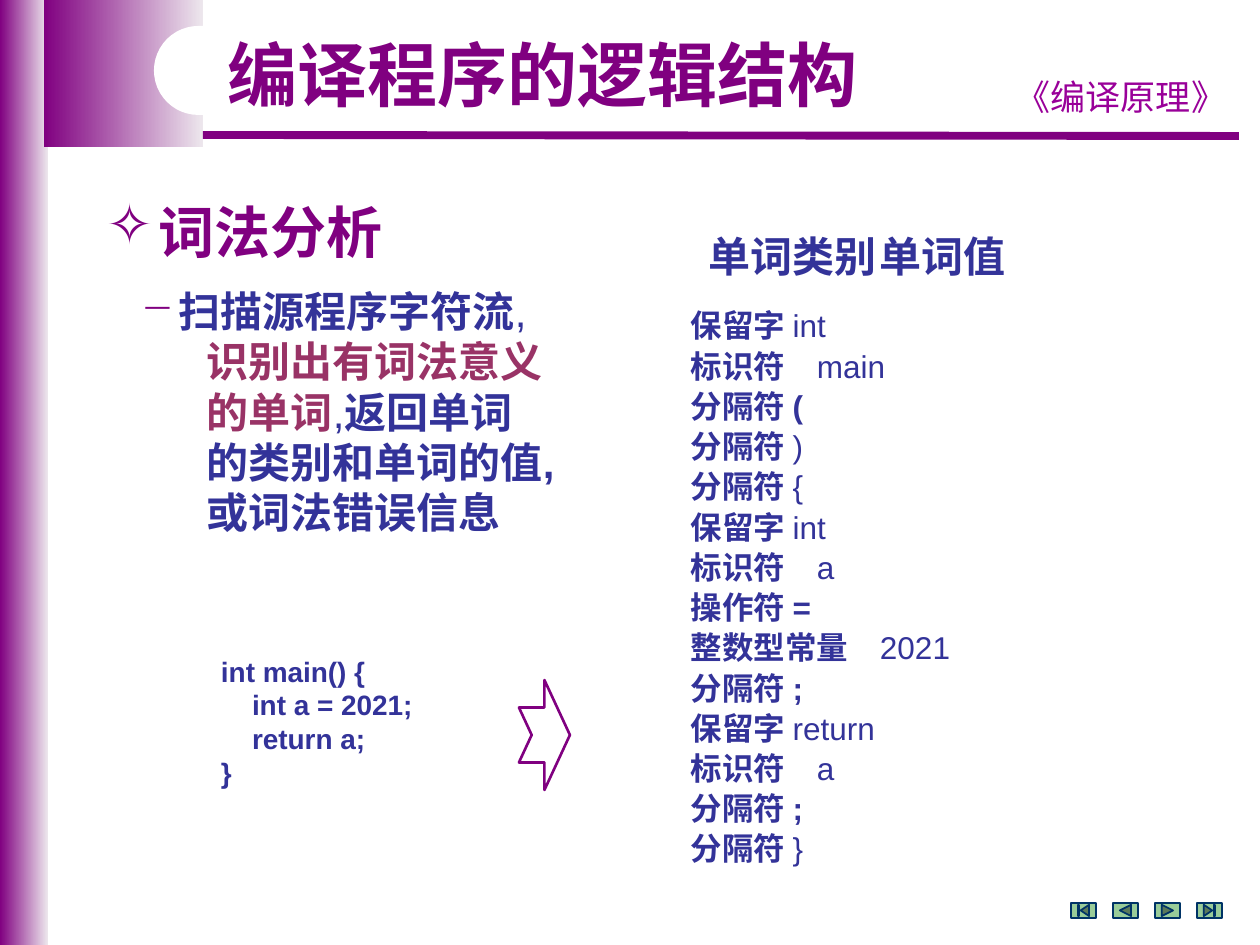
from dataclasses import dataclass
from typing import Any

from pptx import Presentation
from pptx.dml.color import RGBColor
from pptx.enum.shapes import MSO_CONNECTOR, MSO_SHAPE
from pptx.enum.text import MSO_ANCHOR, PP_ALIGN
from pptx.oxml.ns import qn
from pptx.util import Inches, Pt
from lxml.etree import SubElement

PURPLE, NAVY, PLUM = "800080", "333399", "993366"


def px(n):
    return round(n * 914400 / 126)


def rgb(value):
    return RGBColor.from_string(value)


def add_text(p, text, size=18, color=NAVY, bold=True, font="Arial"):
    r = p.add_run()
    r.text = text
    r.font.size = Pt(size)
    r.font.bold = bold
    r.font.name = font
    r.font.color.rgb = rgb(color)
    SubElement(r.font._element, qn("a:ea"), typeface="Noto Sans CJK SC")


@dataclass
class Deck:
    s: Any
    line_color: str = PURPLE

    def frame(self, sp, left_inset=13):
        tf = sp.text_frame
        tf.word_wrap = True
        tf.vertical_anchor = MSO_ANCHOR.TOP
        tf.margin_left, tf.margin_right = px(left_inset), px(13)
        tf.margin_top = tf.margin_bottom = px(6)
        return tf

    def title(self, x, y, w, h):
        sp = self.s.shapes.title
        sp.left, sp.top, sp.width, sp.height = map(px, (x, y, w, h))
        tree = sp._element.getparent()
        tree.append(sp._element)
        return self.frame(sp)

    def text(self, x, y, w, h, left_inset=13):
        return self.frame(self.s.shapes.add_textbox(*map(px, (x, y, w, h))), left_inset)

    def paragraph(self, tf, runs, spacing, before=0, left=0, indent=0,
                  bullet=None, tab=None, align=PP_ALIGN.LEFT, **style):
        p = tf.paragraphs[0]
        if p.runs:
            p = tf.add_paragraph()
        p.alignment = align
        p.line_spacing, p.space_before, p.space_after = Pt(spacing), Pt(before), Pt(0)
        pPr = p._p.get_or_add_pPr()
        pPr.set("marL", str(px(left)))
        pPr.set("indent", str(px(indent)))
        if bullet:
            color = SubElement(pPr, qn("a:buClr"))
            SubElement(color, qn("a:srgbClr"), val=PURPLE)
            SubElement(pPr, qn("a:buChar"), char=bullet)
        else:
            SubElement(pPr, qn("a:buNone"))
        if tab:
            tabs = SubElement(pPr, qn("a:tabLst"))
            SubElement(tabs, qn("a:tab"), pos=str(px(tab)), algn="l")
        for text, extra in runs:
            add_text(p, text, **{**style, **extra})

    def shape(self, kind, x, y, w, h, fill=None, line=None, weight=1, adj=()):
        sp = self.s.shapes.add_shape(kind, *map(px, (x, y, w, h)))
        sp.shadow.inherit = False
        for i, value in enumerate(adj):
            sp.adjustments[i] = value
        if fill:
            sp.fill.solid()
            sp.fill.fore_color.rgb = rgb(fill)
        else:
            sp.fill.background()
        if line:
            sp.line.color.rgb = rgb(line)
            sp.line.width = Pt(weight)
        else:
            sp.line.fill.background()
        return sp

    def gradient(self, x, y, w, h):
        fill = self.shape(MSO_SHAPE.RECTANGLE, x, y, w, h).fill
        fill.gradient()
        fill.gradient_angle = 0
        for stop, color in zip(fill.gradient_stops, (PURPLE, "EDE7ED")):
            stop.color.rgb = rgb(color)

    def line(self, x1, y1, x2, y2, weight):
        c = self.s.shapes.add_connector(MSO_CONNECTOR.STRAIGHT, *map(px, (x1, y1, x2, y2)))
        c.line.color.rgb = rgb(self.line_color)
        c.line.width = Pt(weight)
        SubElement(c._element.spPr, qn("a:effectLst"))


prs = Presentation()
prs.slide_width, prs.slide_height = Inches(10), Inches(7.5)
deck = Deck(prs.slides.add_slide(prs.slide_layouts[5]))

deck.gradient(0, 0, 48, 945)
deck.gradient(44, 0, 159, 147)
deck.line(203, 135, 1239, 136, 4.5)
deck.shape(MSO_SHAPE.ROUNDED_RECTANGLE, 154, 26, 456, 89, fill="FFFFFF", adj=[0.5])

course = deck.text(997, 66, 248, 54)
deck.paragraph(course, [("《编译原理》", {})], 26, align=PP_ALIGN.CENTER,
               size=20, color="990099", bold=False, font="Noto Sans CJK SC")

title = deck.title(208, 26, 669, 88)
deck.paragraph(title, [("编译程序的逻辑结构", {})], 48, align=PP_ALIGN.CENTER,
               size=40, color=PURPLE)

body = deck.text(94, 185, 515, 357)
deck.paragraph(body, [("词法分析", {})], 42, left=52, indent=-52, bullet="✧",
               size=32, color=PURPLE)
plain, plum = {"bold": False}, {"color": PLUM}
deck.paragraph(body, [("扫描源程序字符流", {}), (",".replace(",", ","), plain)], 28.75,
               before=12, left=72, indent=-38, bullet="−", size=24)
for runs in (
    [("识别出有词法意义", plum)],
    [("的单词", plum), (",", plain), ("返回单词", {})],
    [("的类别和单词的值,", {})],
    [("或词法错误信息", {})],
):
    deck.paragraph(body, runs, 28.75, left=100, size=24)

TOKENS = [
    ("保留字", " ", "int", False),
    ("标识符", "\t", "main", False),
    ("分隔符", " ", "(", True),
    ("分隔符", " ", ")", False),
    ("分隔符", " ", "{", False),
    ("保留字", " ", "int", False),
    ("标识符", "\t", "a", False),
    ("操作符", " ", "=", True),
    ("整数型常量", "\t", "2021", False),
    ("分隔符", " ", ";", True),
    ("保留字", " ", "return", False),
    ("标识符", "\t", "a", False),
    ("分隔符", " ", ";", True),
    ("分隔符", " ", "}", False),
]
tokens = deck.text(609, 228, 627, 672, left_inset=82)
deck.paragraph(tokens, [("单词类别\t单词值", {})], 27, indent=18, tab=303, size=24)
for i, (category, gap, value, bold) in enumerate(TOKENS):
    deck.paragraph(tokens, [(category + gap, {}), (value, {"bold": bold})], 23,
                   before=0 if i else 13, tab=322 if value == "2021" else 307)

for i, kind in enumerate((
    MSO_SHAPE.ACTION_BUTTON_BEGINNING,
    MSO_SHAPE.ACTION_BUTTON_BACK_OR_PREVIOUS,
    MSO_SHAPE.ACTION_BUTTON_FORWARD_OR_NEXT,
    MSO_SHAPE.ACTION_BUTTON_END,
)):
    deck.shape(kind, 1071 + 42 * i, 903, 25, 15, fill="99CC99", line="003366")

deck.shape(MSO_SHAPE.NOTCHED_RIGHT_ARROW, 519, 680, 51, 110, line=PURPLE,
           weight=1.5, adj=[0.5, 0.5])

code = deck.text(208, 648, 268, 149)
for text, left in (("int main() {", 0), ("int a = 2021;", 31), ("return a;", 31), ("}", 0)):
    deck.paragraph(code, [(text, {})], 19.25, left=left, size=16)

prs.save("out.pptx")
